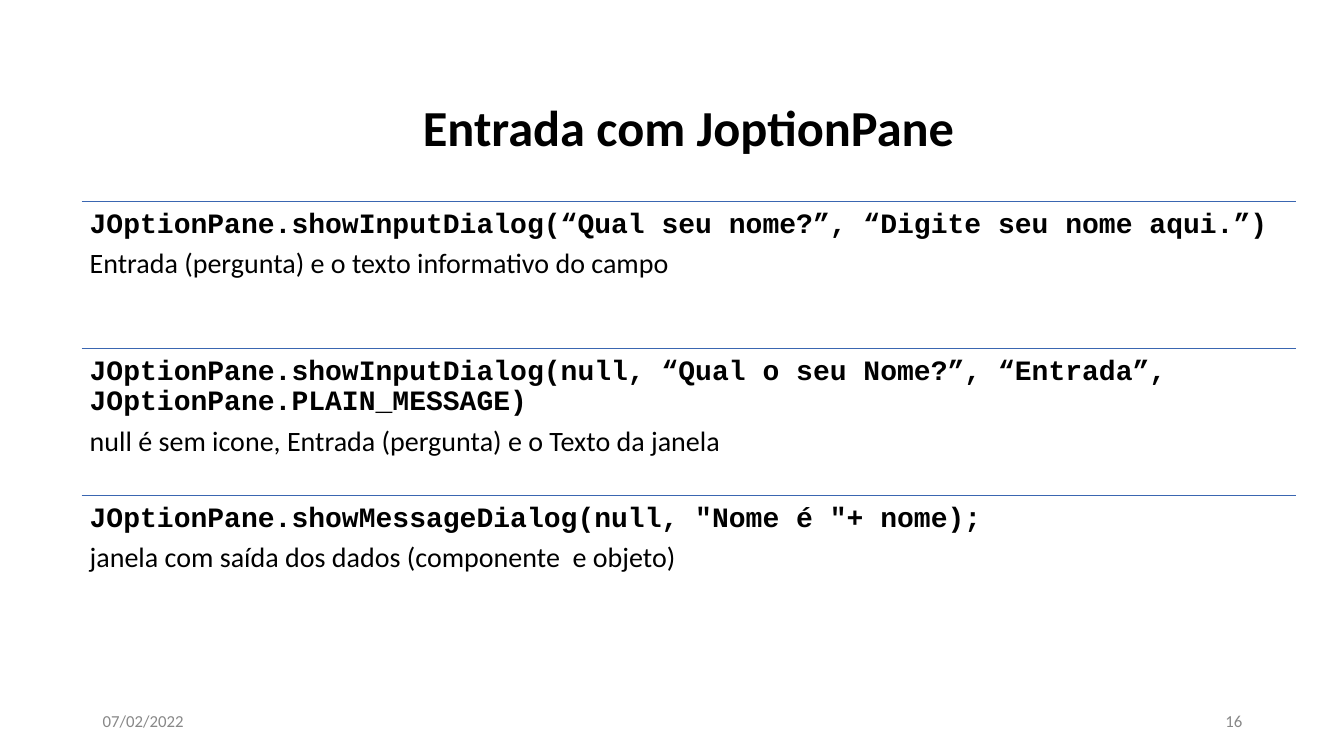
"""Builds the slide on input and output dialogs with JOptionPane."""
from lxml.etree import SubElement
from pptx import Presentation
from pptx.dml.color import RGBColor
from pptx.enum.shapes import MSO_CONNECTOR as Connector
from pptx.enum.text import MSO_ANCHOR as Anchor, MSO_AUTO_SIZE as AutoSize, PP_ALIGN as Align
from pptx.oxml.ns import qn
from pptx.util import Inches, Pt

TITLE = "Entrada com JoptionPane"
DIALOGS = [
    ("JOptionPane.showInputDialog(“Qual seu nome?”, “Digite seu nome aqui.”)",
     "Entrada (pergunta) e o texto informativo do campo"),
    ("JOptionPane.showInputDialog(null, “Qual o seu Nome?”, “Entrada”, JOptionPane.PLAIN_MESSAGE)",
     "null é sem icone, Entrada (pergunta) e o Texto da janela"),
    ('JOptionPane.showMessageDialog(null, "Nome é "+ nome);',
     "janela com saída dos dados (componente  e objeto)"),
]
FOOTERS = [("07/02/2022", 0.92, Align.LEFT), ("16", 9.42, Align.RIGHT)]
COLORS = {"text": "000000", "footer": "888888", "rule": "3A66B1"}
LEFT, WIDTH = 0.81, 12.04
FIRST_TOP, ROW_HEIGHT = 2, 1.457


def write(paragraph, text, size=20, font="Calibri", color="text", bold=False,
          align=Align.LEFT, spacing=0.9, before=0):
    paragraph.alignment = align
    paragraph.line_spacing = spacing
    paragraph.space_before = Pt(before)
    run = paragraph.add_run()
    run.text = text
    run.font.size = Pt(size)
    run.font.name = font
    run.font.bold = bold
    run.font.color.rgb = RGBColor.from_string(COLORS[color])


def set_frame(frame, anchor, side, edge):
    frame.word_wrap = True
    frame.auto_size = AutoSize.NONE
    frame.vertical_anchor = anchor
    frame.margin_left = frame.margin_right = Inches(side)
    frame.margin_top = frame.margin_bottom = Inches(edge)
    return frame


def add_rule(slide, top):
    rule = slide.shapes.add_connector(
        Connector.STRAIGHT, Inches(LEFT), Inches(top), Inches(LEFT + WIDTH), Inches(top))
    rule.line.color.rgb = RGBColor.from_string(COLORS["rule"])
    rule.line.width = Pt(1)
    SubElement(rule._element.spPr, qn("a:effectLst"))


def add_box(slide, left, top, width, height, **margins):
    box = slide.shapes.add_textbox(Inches(left), Inches(top), Inches(width), Inches(height))
    return set_frame(box.text_frame, **margins)


def main():
    deck = Presentation()
    deck.slide_width, deck.slide_height = Inches(13.33), Inches(7.5)
    slide = deck.slides.add_slide(deck.slide_layouts[5])

    title = slide.shapes.title
    title.left, title.top = Inches(LEFT), Inches(0.74)
    title.width, title.height = Inches(WIDTH), Inches(1.1)
    heading = set_frame(title.text_frame, Anchor.MIDDLE, 0.1, 0.05)
    write(heading.paragraphs[0], TITLE, size=36, bold=True, align=Align.CENTER)

    for text, left, align in FOOTERS:
        footer = add_box(slide, left, 6.95, 3, 0.4, anchor=Anchor.MIDDLE, side=0.1, edge=0.05)
        write(footer.paragraphs[0], text, size=12, color="footer", align=align, spacing=1.0)

    for row, (call, meaning) in enumerate(DIALOGS):
        top = FIRST_TOP + row * ROW_HEIGHT
        add_rule(slide, top)
        dialog = add_box(slide, LEFT, top, WIDTH, ROW_HEIGHT, anchor=Anchor.TOP, side=0.08, edge=0.08)
        write(dialog.paragraphs[0], call, font="Courier New", bold=True)
        write(dialog.add_paragraph(), meaning, before=7)

    deck.save("out.pptx")


if __name__ == "__main__":
    main()
